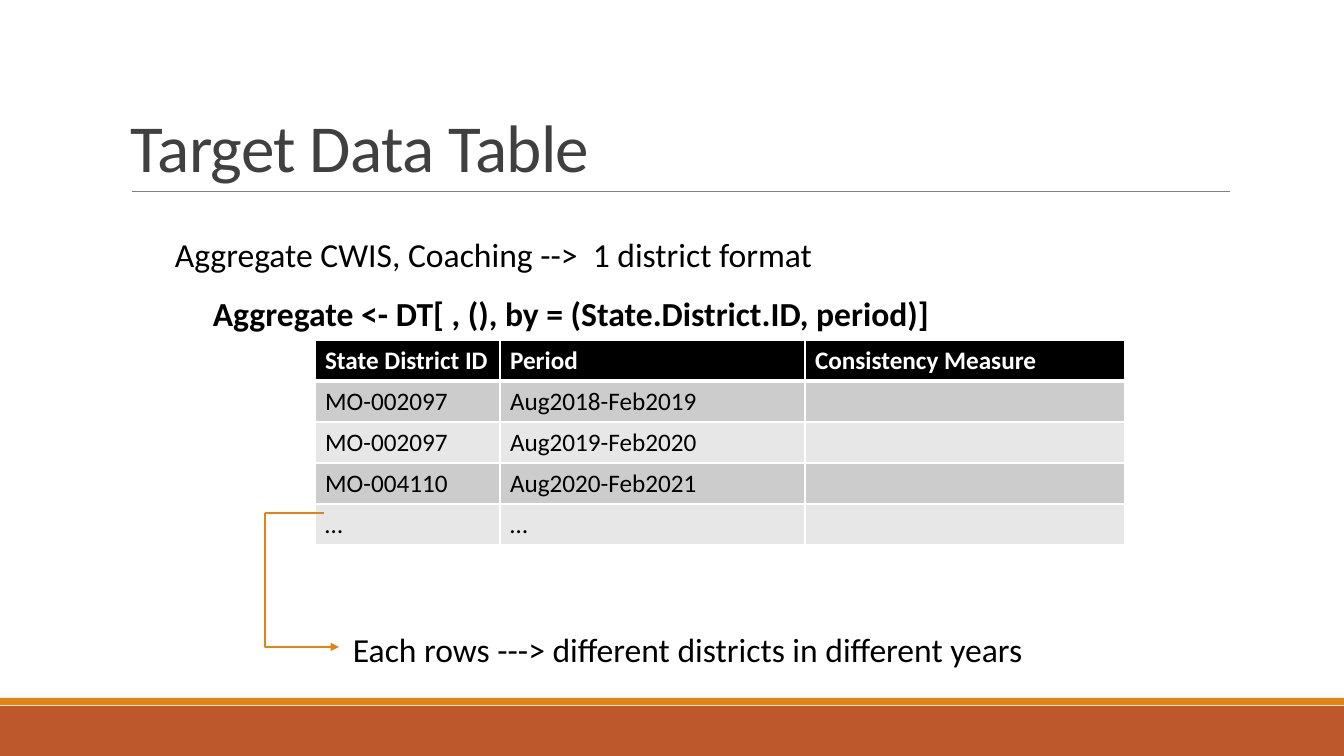
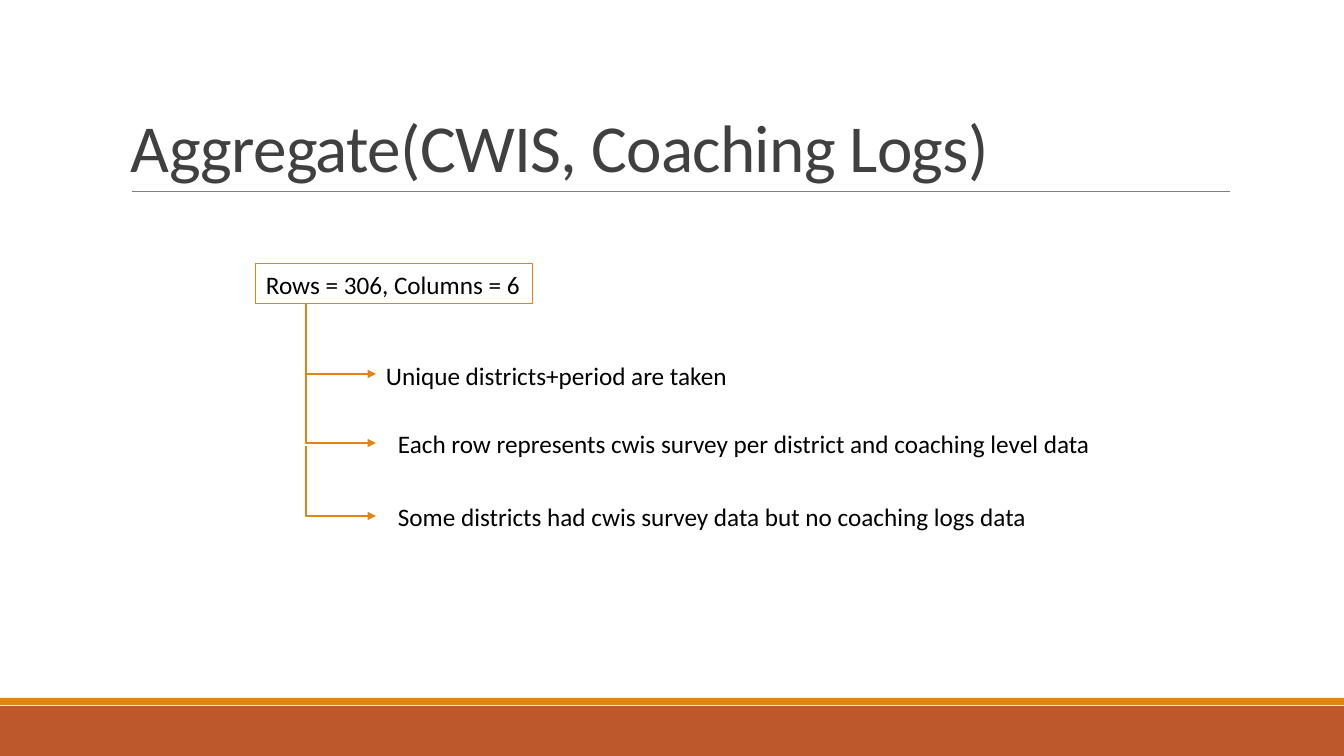
from lxml.etree import SubElement
from pptx import Presentation
from pptx.dml.color import RGBColor
from pptx.enum.shapes import MSO_CONNECTOR as CONNECTOR, MSO_SHAPE as SHAPE
from pptx.enum.text import MSO_ANCHOR as ANCHOR
from pptx.oxml.ns import qn
from pptx.util import Emu, Pt

# Shared geometry and style
SLIDE_WIDTH, SLIDE_HEIGHT = 1344, 756
EMU_PER_PIXEL = 914400 / 100.8
FONT = "Calibri"
BLACK, WHITE, GRAY, TITLE_GRAY = "000000", "FFFFFF", "808080", "404040"
ORANGE, RUST = "E48312", "BD582C"
ROW_FILLS = ("CCCCCC", "E7E7E7")


def px(pixels):
    return Emu(round(pixels * EMU_PER_PIXEL))


def color(hex_string):
    return RGBColor.from_string(hex_string)


def format_text(text_frame, size, text_color=BLACK, bold=False):
    for paragraph in text_frame.paragraphs:
        for run in paragraph.runs:
            run.font.name = FONT
            run.font.size = Pt(size)
            run.font.bold = bold
            run.font.color.rgb = color(text_color)


def add_text(slide, text, left, top, width, height, size, bold=False,
             text_color=BLACK, wrap=True):
    box = slide.shapes.add_textbox(px(left), px(top), px(width), px(height))
    box.text_frame.word_wrap = wrap
    box.text_frame.text = text
    format_text(box.text_frame, size, text_color, bold)
    return box


def add_band(slide, top, height, fill):
    band = slide.shapes.add_shape(SHAPE.RECTANGLE, 0, px(top), px(SLIDE_WIDTH), px(height))
    band.shadow.inherit = False
    band.fill.solid()
    band.fill.fore_color.rgb = color(fill)
    band.line.fill.background()


def add_line(slide, start, end, line_color=ORANGE, width=1, kind=CONNECTOR.STRAIGHT):
    points = [px(value) for value in (*start, *end)]
    line = slide.shapes.add_connector(kind, *points)
    line.line.color.rgb = color(line_color)
    line.line.width = Pt(width)
    SubElement(line.element.spPr, qn("a:effectLst"))
    return line


def add_branch(slide, start, end):
    """Arrow that runs straight down, then right."""
    branch = add_line(slide, start, end, kind=CONNECTOR.ELBOW)
    properties = branch.element.spPr
    adjustments = properties.find(qn("a:prstGeom")).get_or_add_avLst()
    SubElement(adjustments, qn("a:gd"), name="adj1", fmla="val 0")
    SubElement(properties.find(qn("a:ln")), qn("a:tailEnd"), type="triangle")


def add_cell_borders(cell, widths):
    properties = cell._tc.get_or_add_tcPr()
    for side, width in zip("LRTB", widths):
        border = SubElement(properties, qn(f"a:ln{side}"), w=str(Pt(width)))
        fill = SubElement(border, qn("a:solidFill"))
        SubElement(fill, qn("a:srgbClr"), val=WHITE)


def add_table(slide, rows, left, top, column_widths, row_height):
    frame = slide.shapes.add_table(
        len(rows), len(column_widths), px(left), px(top),
        px(sum(column_widths)), px(row_height * len(rows)))
    table = frame.table
    for column, width in zip(table.columns, column_widths):
        column.width = px(width)
    for row_index, values in enumerate(rows):
        table.rows[row_index].height = px(row_height)
        header = row_index == 0
        fill = BLACK if header else ROW_FILLS[(row_index - 1) % 2]
        top_width, bottom_width = (3 if row_index == 1 else 1), (3 if header else 1)
        for column_index, value in enumerate(values):
            cell = table.cell(row_index, column_index)
            add_cell_borders(cell, (1, 1, top_width, bottom_width))
            cell.fill.solid()
            cell.fill.fore_color.rgb = color(fill)
            cell.text_frame.text = value
            format_text(cell.text_frame, 18, WHITE if header else BLACK, header)


def add_titled_slide(presentation, title):
    slide = presentation.slides.add_slide(presentation.slide_layouts[6])
    # Footer bands and title rule
    add_band(slide, 706, 50, RUST)
    add_band(slide, 698, 7, ORANGE)
    add_line(slide, (132, 191), (1230, 191), GRAY, 0.5)
    # Title
    box = add_text(slide, title, 121, 31, 1109, 160, 48, text_color=TITLE_GRAY)
    box.text_frame.vertical_anchor = ANCHOR.BOTTOM
    paragraph = box.text_frame.paragraphs[0]
    paragraph.line_spacing = 0.85
    paragraph.runs[0].font._element.set("spc", "-50")
    return slide


def build_target_table(presentation):
    slide = add_titled_slide(presentation, "Target Data Table")
    rows = [
        ("State District ID", "Period", "Consistency Measure"),
        ("MO-002097", "Aug2018-Feb2019", ""),
        ("MO-002097", "Aug2019-Feb2020", ""),
        ("MO-004110", "Aug2020-Feb2021", ""),
        ("…", "…", ""),
    ]
    add_table(slide, rows, 315, 340, (185, 305, 320), 41)
    add_text(slide, "Aggregate CWIS, Coaching -->  1 district format",
             165, 229, 1064, 50, 24)
    add_text(slide, "Aggregate <- DT[ , (), by = (State.District.ID, period)]",
             203, 288, 1045, 50, 24, bold=True)
    # Link from the last row to its explanation
    corner = (265, 513)
    add_branch(slide, corner, (339, 647))
    add_line(slide, corner, (324, 513))
    add_text(slide, "Each rows ---> different districts in different years",
             343, 624, 766, 50, 24)


def build_aggregate(presentation):
    slide = add_titled_slide(presentation, "Aggregate(CWIS, Coaching Logs)")
    size_box = add_text(slide, "Rows = 306, Columns = 6", 256, 264, 277, 40, 18, wrap=False)
    size_box.line.color.rgb = color(ORANGE)
    size_box.line.width = Pt(0.75)
    # Branches: start and end of the arrow, then the place of the text
    branches = [
        ("Unique districts+period are taken", 304, 374, 376, 355, 438),
        ("Each row represents cwis survey per district and coaching level data",
         374, 443, 388, 423, 745),
        ("Some districts had cwis survey data but no coaching logs data",
         446, 516, 388, 496, 745),
    ]
    for text, start, end, left, top, width in branches:
        add_branch(slide, (306, start), (376, end))
        add_text(slide, text, left, top, width, 40, 18)


def main():
    presentation = Presentation()
    presentation.slide_width = px(SLIDE_WIDTH)
    presentation.slide_height = px(SLIDE_HEIGHT)
    build_target_table(presentation)
    build_aggregate(presentation)
    presentation.save("out.pptx")


main()
